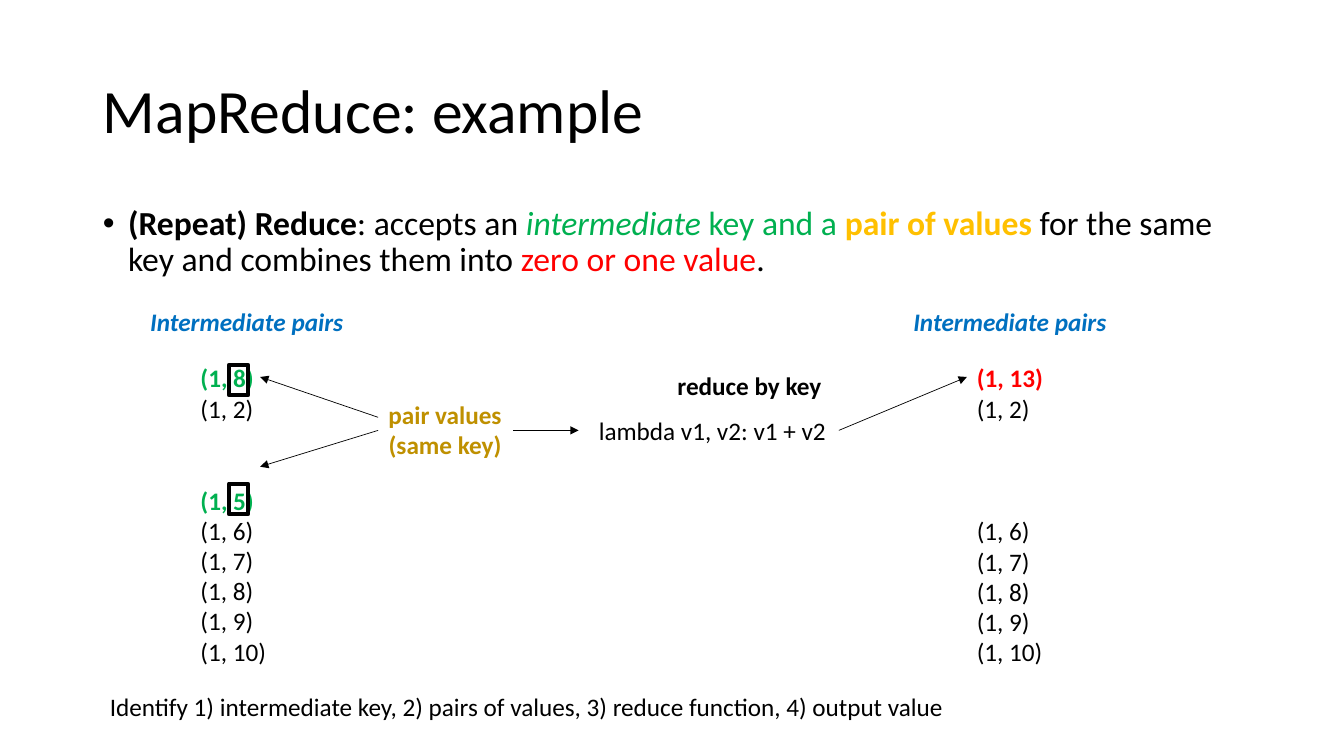
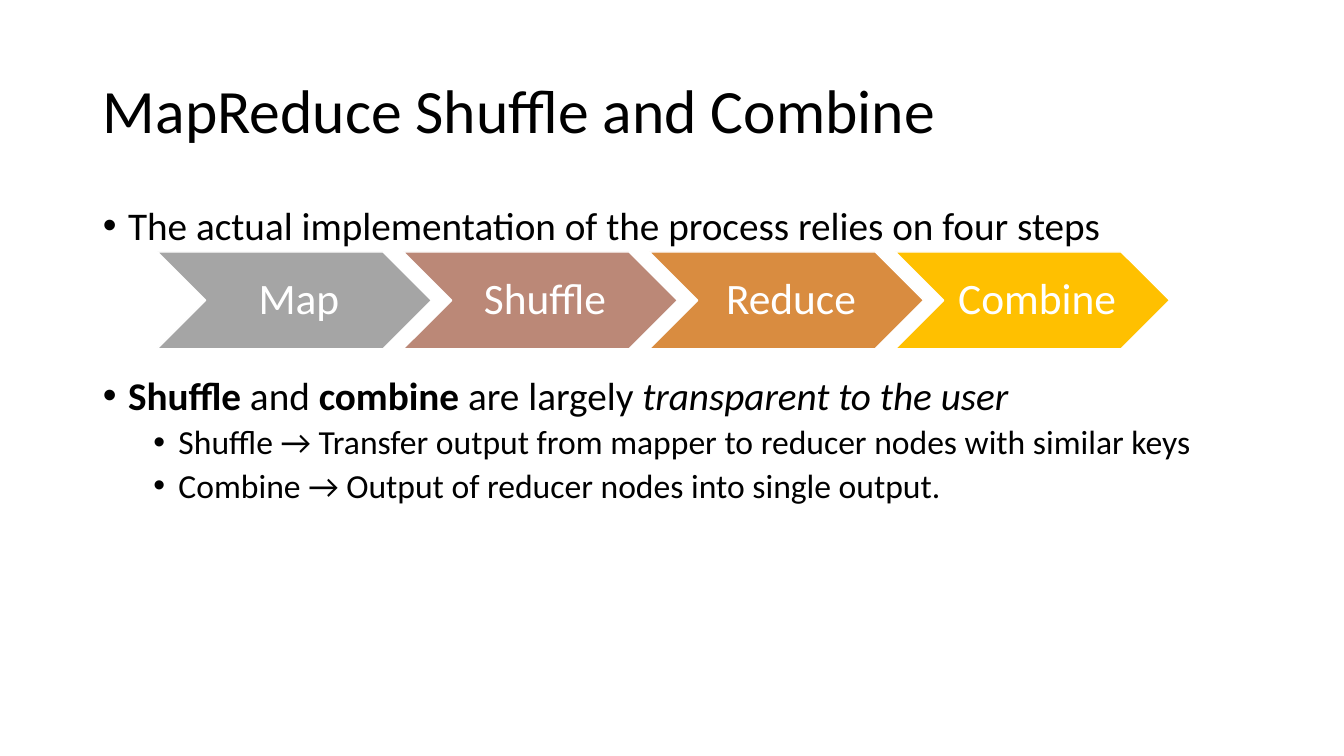
from dataclasses import dataclass

from lxml import etree
from pptx import Presentation
from pptx import util as u
from pptx.dml import color as dml
from pptx.enum import shapes as sh, text as tx
from pptx.oxml import ns

Inches, Pt = u.Inches, u.Pt


@dataclass(frozen=True)
class Theme:
    font: str = "Calibri"
    black: str = "000000"
    white: str = "FFFFFF"
    green: str = "00B050"
    gold: str = "FFC000"
    ochre: str = "BF9000"
    red: str = "FF0000"
    blue: str = "0070C0"
    steps: tuple[str, ...] = ("A5A5A5", "BB8877", "D98C40", "FFC000")
    title: int = 44
    lead: int = 28
    sub: int = 24
    step: int = 31
    note: int = 18


T = Theme()


@dataclass(frozen=True)
class Span:
    text: str
    color: str = T.black
    bold: bool = False
    ital: bool = False


@dataclass(frozen=True)
class Para:
    spans: tuple[Span, ...]
    size: int = T.note
    gap: float = 0
    space: float = 1.0
    align: tx.PP_ALIGN = tx.PP_ALIGN.LEFT
    level: int = 0
    bullet: bool = False


@dataclass(frozen=True)
class Label:
    box: tuple[float, float, float, float]
    paras: tuple[Para, ...]


@dataclass(frozen=True)
class Arrow:
    start: tuple[float, float]
    end: tuple[float, float]


# Text
def rgb(code: str) -> dml.RGBColor:
    return dml.RGBColor.from_string(code)


def paint(font, span: Span, size: int) -> None:
    font.name, font.size = T.font, Pt(size)
    font.bold, font.italic = span.bold, span.ital
    font.color.rgb = rgb(span.color)


def write(frame, paras: tuple[Para, ...]) -> None:
    for i, item in enumerate(paras):
        par = frame.add_paragraph() if i else frame.paragraphs[0]
        par.level, par.alignment = item.level, item.align
        par.line_spacing, par.space_before = item.space, Pt(item.gap)
        if item.bullet:
            props = par._p.get_or_add_pPr()
            props.set("marL", str(Inches(0.25 + 0.5 * item.level)))
            props.set("indent", str(Inches(-0.25)))
            etree.SubElement(props, ns.qn("a:buChar")).set("char", "•")
        paint(par.font, item.spans[0], item.size)
        for span in item.spans:
            run = par.add_run()
            run.text = span.text
            paint(run.font, span, item.size)


def line(text: str, color: str = T.black, bold: bool = False,
         ital: bool = False, **kw) -> Para:
    return Para((Span(text, color, bold, ital),), **kw)


def point(*spans: Span, size: int = T.lead, gap: float = 10, level: int = 0) -> Para:
    return Para(spans, size, gap, 0.9, level=level, bullet=True)


# Parts
def place(shape, box: tuple[float, float, float, float]) -> None:
    shape.left, shape.top, shape.width, shape.height = map(Inches, box)


def page(deck, title: str, high: float, points: tuple[Para, ...]):
    slide = deck.slides.add_slide(deck.slide_layouts[1])
    head, body = slide.placeholders
    place(head, (0.92, 0.4, 11.5, 1.45))
    place(body, (0.92, 2, 11.5, high))
    head.text_frame.vertical_anchor = tx.MSO_ANCHOR.MIDDLE
    for shape in (head, body):
        shape.text_frame.auto_size = tx.MSO_AUTO_SIZE.NONE
    write(head.text_frame, (line(title, size=T.title, space=0.9),))
    write(body.text_frame, points)
    return slide


def label(slide, item: Label) -> None:
    frame = slide.shapes.add_textbox(*map(Inches, item.box)).text_frame
    frame.word_wrap = False
    frame.auto_size = tx.MSO_AUTO_SIZE.SHAPE_TO_FIT_TEXT
    write(frame, item.paras)


def arrow(slide, item: Arrow) -> None:
    link = slide.shapes.add_connector(
        sh.MSO_CONNECTOR.STRAIGHT, *map(Inches, item.start + item.end))
    link.line.color.rgb, link.line.width = rgb(T.black), Pt(0.5)
    tail = etree.SubElement(link.line._get_or_add_ln(), ns.qn("a:tailEnd"))
    tail.set("type", "triangle")
    etree.SubElement(link._element.spPr, ns.qn("a:effectLst"))


def frame(slide, top: float) -> None:
    mark = slide.shapes.add_shape(
        sh.MSO_SHAPE.RECTANGLE, *map(Inches, (2.27, top, 0.19, 0.3)))
    mark.shadow.inherit = False
    mark.fill.background()
    mark.line.color.rgb, mark.line.width = rgb(T.black), Pt(3)


def step(slide, index: int, name: str) -> None:
    left = 1.56 + 2.44 * index
    part = slide.shapes.add_shape(
        sh.MSO_SHAPE.CHEVRON, *map(Inches, (left, 2.5, 2.72, 0.96)))
    part.shadow.inherit = False
    part.fill.solid()
    part.fill.fore_color.rgb = rgb(T.steps[index])
    part.line.color.rgb, part.line.width = rgb(T.white), Pt(1)
    text = part.text_frame
    text.word_wrap = False
    text.vertical_anchor = tx.MSO_ANCHOR.MIDDLE
    text.margin_left = Inches(0.14)
    text.margin_right = text.margin_top = text.margin_bottom = Inches(0.05)
    write(text, (line(name, T.white, size=T.step, space=0.9,
                      align=tx.PP_ALIGN.CENTER),))


# Slides
def reduce_page(deck) -> None:
    slide = page(deck, "MapReduce: example", 0.85, (point(
        Span("(Repeat) Reduce", bold=True),
        Span(": accepts an "),
        Span("intermediate ", T.green, ital=True),
        Span("key and a ", T.green),
        Span("pair of values ", T.gold, bold=True),
        Span("for the same key and combines them into "),
        Span("zero or one value", T.red),
        Span("."),
        size=T.sub),))
    row = 22
    rest = tuple(line(f"(1, {n})") for n in range(7, 11))
    before = (line("(1, 8)", T.green, True), line("(1, 2)"),
              line("(1, 5)", T.green, True, gap=2 * row), line("(1, 6)"))
    after = (line("(1, 13)", T.red, True), line("(1, 2)"),
             line("(1, 6)", gap=3 * row))
    head = (line("Intermediate pairs", T.blue, True, True),)
    pair = tuple(line(t, T.ochre, True, align=tx.PP_ALIGN.CENTER)
                 for t in ("pair values", "(same key)"))
    labels = (
        Label((1.89, 3.55, 0.87, 3.13), before + rest),
        Label((9.59, 3.55, 0.87, 3.13), after + rest),
        Label((1.39, 2.99, 2.14, 0.4), head),
        Label((8.96, 2.99, 2.14, 0.4), head),
        Label((3.75, 3.91, 1.33, 0.71), pair),
        Label((6.62, 3.62, 1.64, 0.4), (line("reduce by key", bold=True),)),
        Label((5.84, 4.07, 2.48, 0.4), (line("lambda v1, v2: v1 + v2"),)),
        Label((0.99, 6.81, 8.68, 0.4), (line(
            "Identify 1) intermediate key, 2) pairs of values, "
            "3) reduce function, 4) output value"),)),
    )
    for item in labels:
        label(slide, item)
    for top in (3.62, 4.8):
        frame(slide, top)
    for link in (Arrow((3.75, 4.14), (2.58, 3.74)),
                 Arrow((3.75, 4.27), (2.58, 4.63)),
                 Arrow((5.09, 4.27), (5.74, 4.27)),
                 Arrow((8.32, 4.27), (9.59, 3.74))):
        arrow(slide, link)


def steps_page(deck) -> None:
    slide = page(deck, "MapReduce Shuffle and Combine", 4.96, (
        point(Span("The actual implementation of the process relies on four steps")),
        point(Span("Shuffle", bold=True), Span(" and "),
              Span("combine", bold=True), Span(" are largely "),
              Span("transparent to the user", ital=True), gap=91),
        *(point(Span(t), size=T.sub, gap=5, level=1) for t in (
            "Shuffle → Transfer output from mapper to reducer nodes with similar keys",
            "Combine → Output of reducer nodes into single output.")),
    ))
    for i, name in enumerate(("Map", "Shuffle", "Reduce", "Combine")):
        step(slide, i, name)


def main() -> None:
    deck = Presentation()
    deck.slide_width, deck.slide_height = Inches(13.33), Inches(7.5)
    reduce_page(deck)
    steps_page(deck)
    deck.save("out.pptx")


if __name__ == "__main__":
    main()
